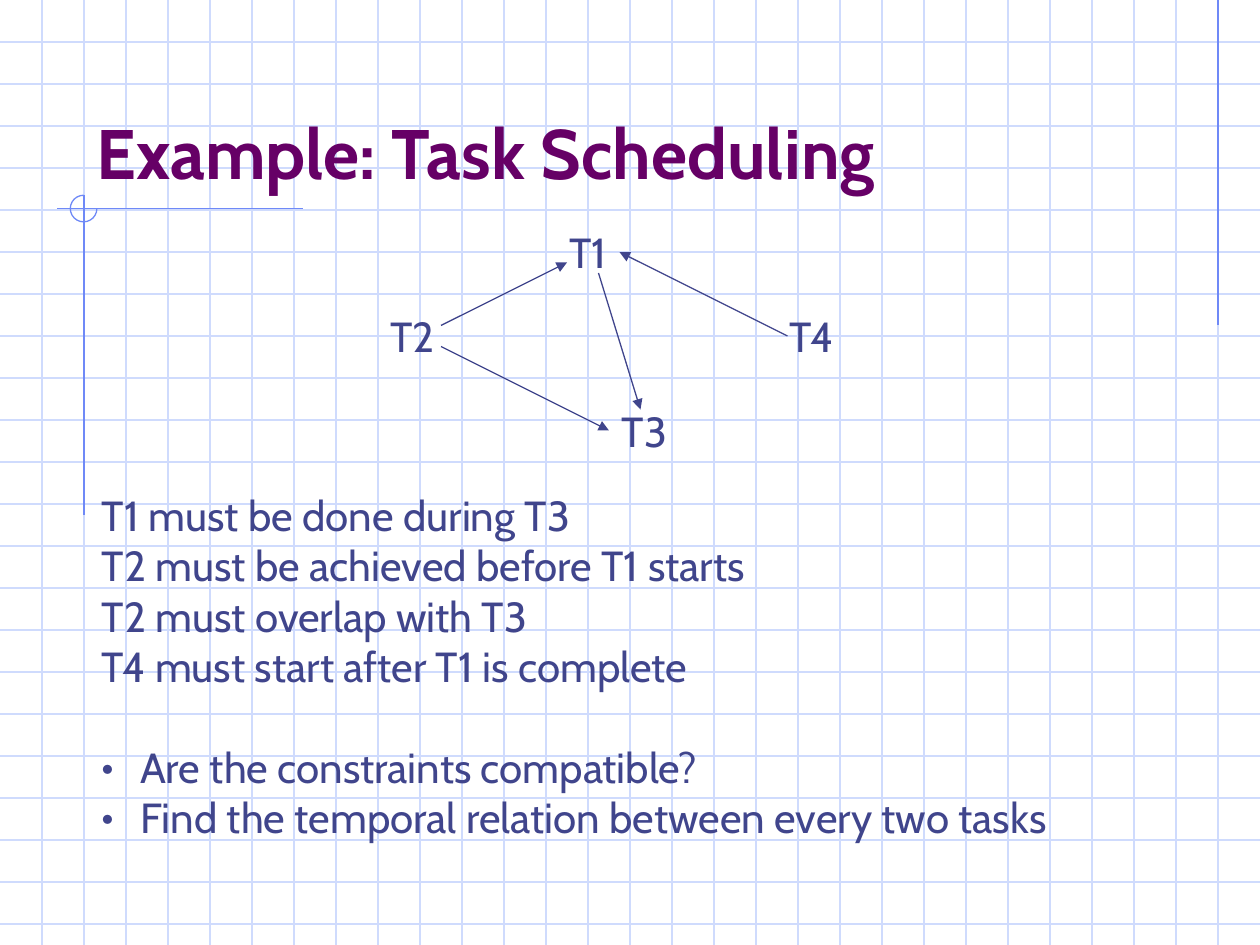
from lxml import etree
from pptx import Presentation
from pptx.dml.color import RGBColor
from pptx.enum.shapes import MSO_CONNECTOR, MSO_SHAPE
from pptx.enum.text import MSO_ANCHOR, MSO_AUTO_SIZE, PP_ALIGN
from pptx.oxml.ns import qn
from pptx.util import Pt

STRAIGHT = MSO_CONNECTOR.STRAIGHT
ARC = MSO_SHAPE.ARC
TOP, BOTTOM = MSO_ANCHOR.TOP, MSO_ANCHOR.BOTTOM
NO_FIT = MSO_AUTO_SIZE.NONE
LEFT = PP_ALIGN.LEFT

COLORS = {"grid": "CFDBFD", "accent": "6F89F7", "title": "660066", "body": "40458C"}
WIDTH, HEIGHT, GRID_STEP = 720, 540, 24
LINE_WIDTH = 0.74
FONT = "Cabin"
BODY_SIZE = 24
LINE_PITCH = 28.8
BULLET_INDENT = 22

ACCENT_LINES = [
    ((696, 0), (696, 186)),
    ((173, 119.2), (32.5, 119.2)),
    ((48, 111.5), (48, 294.5)),
]
TASKS = {"T1": (318.2, 126), "T2": (216, 174), "T3": (348.2, 228), "T4": (444.2, 174)}
ARROWS = [
    ((342, 156), (366, 234)),
    ((252, 186), (324, 150)),
    ((252, 198), (348, 246)),
    ((450, 192), (354, 144)),
]
CONSTRAINTS = [
    "T1 must be done during T3",
    "T2 must be achieved before T1 starts",
    "T2 must overlap with T3",
    "T4 must start after T1 is complete",
]
QUESTIONS = [
    "Are the constraints compatible?",
    "Find the temporal relation between every two tasks",
]


def rgb(name):
    """Return the named colour."""
    return RGBColor.from_string(COLORS[name])


def set_values(obj, values):
    """Set the attributes of an object from a dict."""
    for name, value in values.items():
        setattr(obj, name, value)


def format_line(sp, color):
    """Give a shape or connector its thin coloured line."""
    sp.line.color.rgb = rgb(color)
    sp.line.width = Pt(LINE_WIDTH)


def add_line(slide, start, end, color, arrow=False):
    """Draw a straight line, with an arrowhead at its end if asked."""
    line = slide.shapes.add_connector(STRAIGHT, *map(Pt, start + end))
    format_line(line, color)
    spPr = line._element.spPr
    if arrow:
        etree.SubElement(spPr.find(qn("a:ln")), qn("a:tailEnd"), type="triangle")
    etree.SubElement(spPr, qn("a:effectLst"))


def add_background(slide):
    """Draw the square grid and the accent lines with their open circle."""
    for y in range(GRID_STEP, HEIGHT, GRID_STEP):
        add_line(slide, (0, y), (WIDTH, y), "grid")
    for x in range(GRID_STEP, WIDTH, GRID_STEP):
        add_line(slide, (x, 0), (x, HEIGHT), "grid")
    for start, end in ACCENT_LINES:
        add_line(slide, start, end, "accent")
    arc = slide.shapes.add_shape(ARC, *map(Pt, (40.2, 111.6, 15.2, 15.2)))
    arc.adjustments[0] = 0
    arc.adjustments[1] = 270 * 60000 / 100000
    arc.shadow.inherit = False
    arc.fill.background()
    format_line(arc, "accent")


def format_frame(tf, anchor):
    """Set the insets, wrapping and anchor of a text frame."""
    set_values(tf, {
        "margin_left": Pt(7.2), "margin_right": Pt(7.2),
        "margin_top": Pt(3.6), "margin_bottom": Pt(3.6),
        "word_wrap": True, "auto_size": NO_FIT, "vertical_anchor": anchor,
    })


def write_paragraph(p, text, size, color, bold=False):
    """Write one left-aligned run into a paragraph."""
    p.alignment = LEFT
    r = p.add_run()
    r.text = text
    set_values(r.font, {"name": FONT, "size": Pt(size), "bold": bold})
    r.font.color.rgb = rgb(color)


def add_bullet(p):
    """Give a paragraph a round bullet with a hanging indent."""
    pPr = p._p.get_or_add_pPr()
    pPr.set("marL", str(Pt(BULLET_INDENT)))
    pPr.set("indent", str(-Pt(BULLET_INDENT)))
    font = etree.SubElement(pPr, qn("a:buFont"))
    font.set("typeface", FONT)
    etree.SubElement(pPr, qn("a:buChar"), char="•")


def add_title(slide, text):
    """Place and format the title, in front of the background."""
    title = slide.shapes.title
    slide.shapes._spTree.append(title._element)
    set_values(title, {"left": Pt(48), "top": Pt(24),
                       "width": Pt(612), "height": Pt(90)})
    tf = title.text_frame
    format_frame(tf, BOTTOM)
    write_paragraph(tf.paragraphs[0], text, 40, "title", bold=True)


def add_text(slide, box, lines):
    """Add a text box with one paragraph per line and return its paragraphs."""
    tf = slide.shapes.add_textbox(*map(Pt, box)).text_frame
    format_frame(tf, TOP)
    for i, text in enumerate(lines):
        p = tf.add_paragraph() if i else tf.paragraphs[0]
        write_paragraph(p, text, BODY_SIZE, "body")
    return tf.paragraphs


def add_body(slide):
    """Add the constraints and, one line lower, the bulleted questions."""
    paragraphs = add_text(slide, (51, 276, 608.5, 209), CONSTRAINTS + QUESTIONS)
    questions = paragraphs[len(CONSTRAINTS):]
    questions[0].space_before = Pt(LINE_PITCH)
    for p in questions:
        add_bullet(p)


def add_task_graph(slide):
    """Add the task labels and the arrows between them."""
    for name, (x, y) in TASKS.items():
        add_text(slide, (x, y, 41, 36), [name])
    for start, end in ARROWS:
        add_line(slide, start, end, "body", arrow=True)


def main():
    """Build the slide and save it."""
    prs = Presentation()
    prs.slide_width, prs.slide_height = Pt(WIDTH), Pt(HEIGHT)
    slide = prs.slides.add_slide(prs.slide_layouts[5])
    add_background(slide)
    add_title(slide, "Example: Task Scheduling")
    add_body(slide)
    add_task_graph(slide)
    prs.save("out.pptx")


main()
